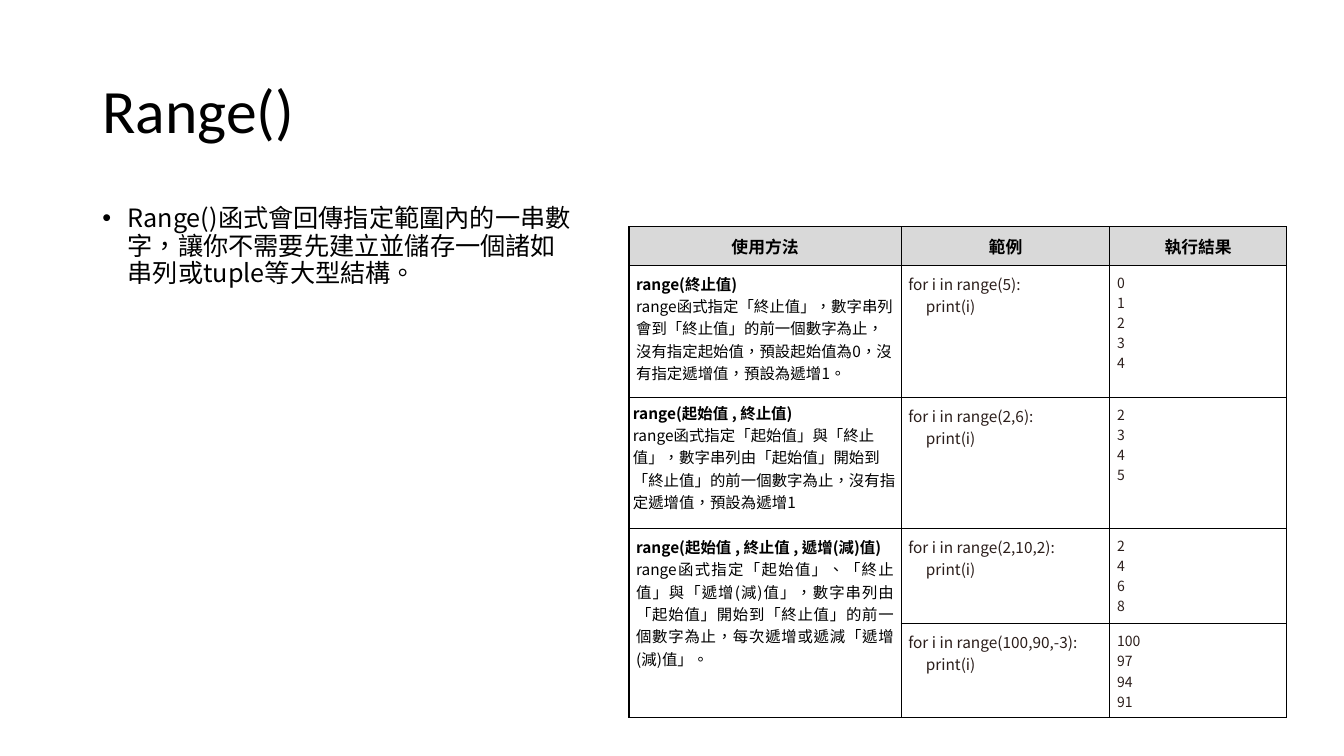
"""Build a slide that explains range() with a table of call forms, examples and results."""
from lxml.etree import SubElement
from pptx import Presentation
from pptx.dml.color import RGBColor
from pptx.enum.text import MSO_ANCHOR, PP_ALIGN
from pptx.oxml import parse_xml
from pptx.oxml.ns import nsdecls, qn
from pptx.util import Cm, Pt

COLORS = {"black": "000000", "code": "2B1E1B", "header": "D9D9D9"}
CJK_FONT = "Noto Sans CJK SC"


def format_paragraph(paragraph, size, font=CJK_FONT, color="black", bold=False):
    for run in paragraph.runs:
        run.font.size = Pt(size)
        run.font.name = font
        run.font.bold = bold
        run.font.color.rgb = RGBColor.from_string(COLORS[color])
        properties = run.font._element
        properties.set("lang", "zh-TW")
        SubElement(properties, qn("a:ea")).set("typeface", CJK_FONT)


def format_cell(cell, margin, fill=None):
    cell.margin_left = cell.margin_right = Cm(margin)
    cell.margin_top = cell.margin_bottom = Cm(margin)
    if fill:
        cell.fill.solid()
        cell.fill.fore_color.rgb = RGBColor.from_string(COLORS[fill])
    else:
        cell.fill.background()
    for index, side in enumerate(["lnL", "lnR", "lnT", "lnB"]):
        border = parse_xml(
            f'<a:{side} {nsdecls("a")} w="12700"><a:solidFill>'
            f'<a:srgbClr val="{COLORS["black"]}"/></a:solidFill></a:{side}>'
        )
        cell._tc.get_or_add_tcPr().insert(index, border)


presentation = Presentation()
presentation.slide_width = Cm(33.87)
presentation.slide_height = Cm(19.05)
slide = presentation.slides.add_slide(presentation.slide_layouts[6])

title = slide.shapes.add_textbox(Cm(2.33), Cm(1.01), Cm(29.21), Cm(3.68))
title.text_frame.word_wrap = True
title.text_frame.vertical_anchor = MSO_ANCHOR.MIDDLE
title.text_frame.text = "Range()"
title.text_frame.paragraphs[0].line_spacing = 0.9
format_paragraph(title.text_frame.paragraphs[0], 44, "Calibri")

body = slide.shapes.add_textbox(Cm(2.33), Cm(5.07), Cm(12.32), Cm(11.02))
body.text_frame.word_wrap = True
body.text_frame.text = (
    "Range()函式會回傳指定範圍內的一串數字，讓你不需要先建立並儲存一個諸如串列或tuple等大型結構。"
)
paragraph = body.text_frame.paragraphs[0]
paragraph.line_spacing = 0.9
paragraph.space_before = Pt(10)
format_paragraph(paragraph, 18)
properties = paragraph._p.get_or_add_pPr()
properties.set("marL", str(Cm(0.64)))
properties.set("indent", str(Cm(-0.64)))
SubElement(properties, qn("a:buFont")).set("typeface", "Arial")
SubElement(properties, qn("a:buChar")).set("char", "•")

headers = ["使用方法", "範例", "執行結果"]
usages = [
    ("range(終止值)",
     "range函式指定「終止值」，數字串列會到「終止值」的前一個數字為止，"
     "沒有指定起始值，預設起始值為0，沒有指定遞增值，預設為遞增1。", 0.18, PP_ALIGN.LEFT),
    ("range(起始值 , 終止值)",
     "range函式指定「起始值」與「終止值」，數字串列由「起始值」開始到"
     "「終止值」的前一個數字為止，沒有指定遞增值，預設為遞增1", 0.1, PP_ALIGN.LEFT),
    ("range(起始值 , 終止值 , 遞增(減)值)",
     "range函式指定「起始值」、「終止值」與「遞增(減)值」，數字串列由「起始值」開始到"
     "「終止值」的前一個數字為止，每次遞增或遞減「遞增(減)值」。", 0.18, PP_ALIGN.JUSTIFY),
]
examples = [
    ("5", range(5)),
    ("2,6", range(2, 6)),
    ("2,10,2", range(2, 10, 2)),
    ("100,90,-3", range(100, 90, -3)),
]
column_widths = [6.86, 5.26, 4.45]
row_heights = [0.97, 3.33, 3.3, 2.4, 2.38]

table = slide.shapes.add_table(
    len(row_heights), len(column_widths), Cm(15.85), Cm(5.71),
    Cm(sum(column_widths)), Cm(sum(row_heights)),
).table
table.first_row = False
table.horz_banding = False
for column, width in zip(table.columns, column_widths):
    column.width = Cm(width)
for row, height in zip(table.rows, row_heights):
    row.height = Cm(height)
table.cell(3, 0).merge(table.cell(4, 0))

for column_index, header in enumerate(headers):
    cell = table.cell(0, column_index)
    cell.text_frame.text = header
    format_cell(cell, 0.18, "header")
    cell.text_frame.paragraphs[0].alignment = PP_ALIGN.CENTER
    format_paragraph(cell.text_frame.paragraphs[0], 12, "Times New Roman", bold=True)

for row_index, (signature, description, margin, alignment) in enumerate(usages, 1):
    cell = table.cell(row_index, 0)
    cell.text_frame.text = f"{signature}\n{description}"
    format_cell(cell, margin)
    heading, explanation = cell.text_frame.paragraphs
    format_paragraph(heading, 11, bold=True)
    format_paragraph(explanation, 11)
    explanation.alignment = alignment
format_cell(table.cell(4, 0), 0.18)

for row_index, (arguments, results) in enumerate(examples, 1):
    code_cell = table.cell(row_index, 1)
    code_cell.text_frame.text = f"for i in range({arguments}):\nprint(i)"
    code_cell.text_frame.paragraphs[1]._p.get_or_add_pPr().set("marL", str(Cm(0.44)))
    result_cell = table.cell(row_index, 2)
    result_cell.text_frame.text = "\n".join(str(value) for value in results)
    for cell, size in [(code_cell, 11), (result_cell, 10)]:
        format_cell(cell, 0.18)
        for paragraph in cell.text_frame.paragraphs:
            format_paragraph(paragraph, size, color="code")

presentation.save("out.pptx")
